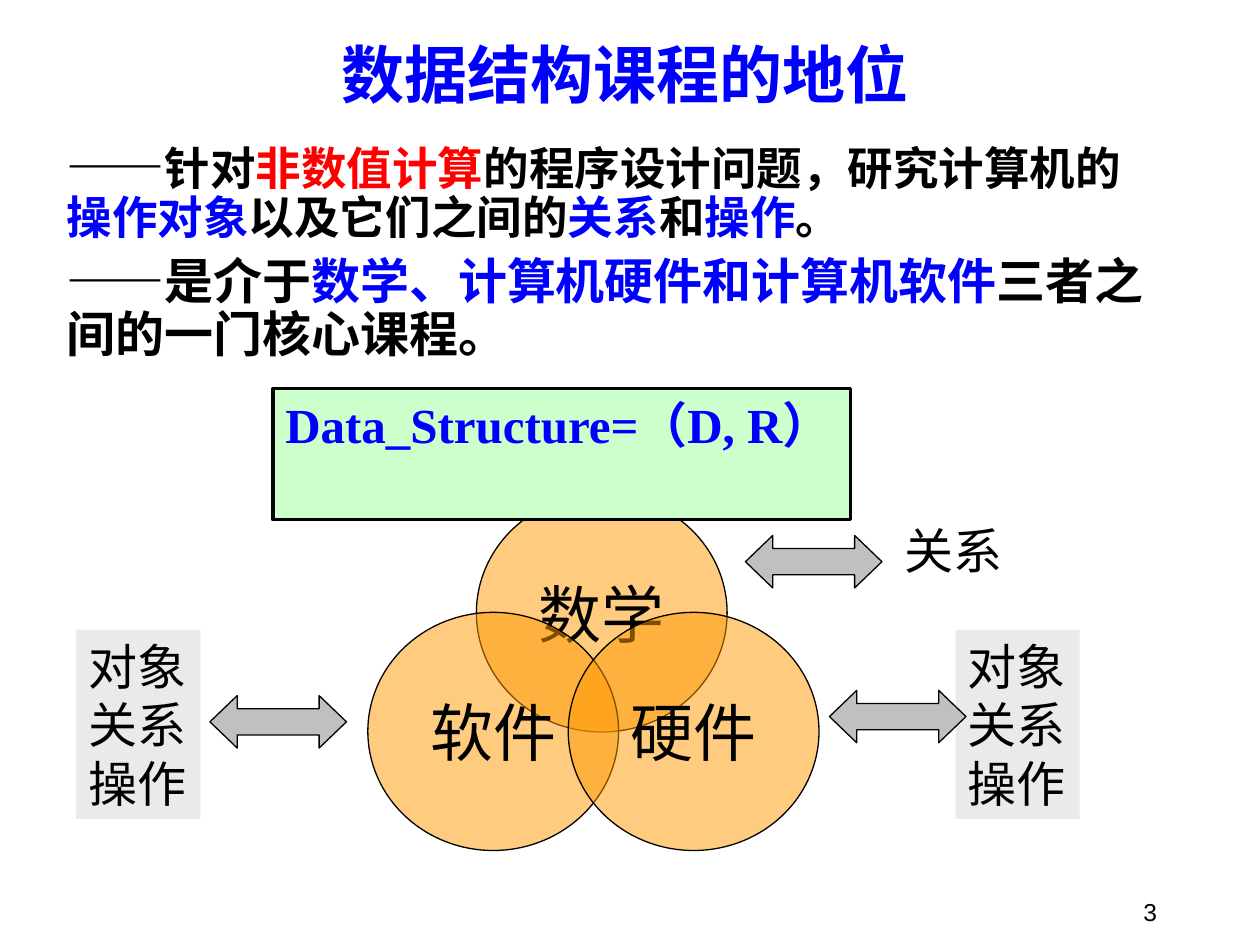
from dataclasses import dataclass

from lxml.etree import SubElement
from pptx import Presentation
from pptx.dml.color import RGBColor
from pptx.enum.shapes import MSO_SHAPE
from pptx.enum.text import MSO_ANCHOR, MSO_AUTO_SIZE, PP_ALIGN
from pptx.oxml.ns import qn
from pptx.util import Pt


@dataclass(frozen=True)
class Theme:
    black: str = "000000"
    blue: str = "0000FF"
    red: str = "FF0000"
    orange: str = "FF9900"
    green: str = "CCFFCC"
    silver: str = "C0C0C0"
    pale: str = "EAEAEA"
    sans: str = "Arial"
    serif: str = "Times New Roman"
    narrow: str = "Arial Narrow"
    heading: str = "Montserrat"
    big: float = 36
    body: float = 28
    small: float = 26
    number: float = 14
    thin: float = 0.75
    thick: float = 2


T = Theme()


@dataclass(frozen=True)
class Box:
    x: float
    y: float
    w: float
    h: float


@dataclass(frozen=True)
class Run:
    text: str
    color: str = T.black
    size: float = T.body
    font: str = T.sans
    bold: bool = False


@dataclass(frozen=True)
class Para:
    runs: tuple[Run, ...]
    align: PP_ALIGN = PP_ALIGN.LEFT
    before: float = 0
    spacing: float = 1.0


@dataclass(frozen=True)
class Circle:
    label: str
    x: float
    y: float


def write(sp, paras: list[Para], anchor=MSO_ANCHOR.TOP, wrap=True, grow=False) -> None:
    tf = sp.text_frame
    tf.word_wrap = wrap
    tf.vertical_anchor = anchor
    tf.auto_size = MSO_AUTO_SIZE.SHAPE_TO_FIT_TEXT if grow else MSO_AUTO_SIZE.NONE
    for i, para in enumerate(paras):
        p = tf.add_paragraph() if i else tf.paragraphs[0]
        p.alignment = para.align
        p.space_before = Pt(para.before)
        p.line_spacing = para.spacing
        for run in para.runs:
            r = p.add_run()
            r.text = run.text
            r.font.size = Pt(run.size)
            r.font.bold = run.bold
            r.font.name = run.font
            r.font.color.rgb = RGBColor.from_string(run.color)


def add_text(shapes, box: Box, paras: list[Para], **options) -> None:
    sp = shapes.add_textbox(Pt(box.x), Pt(box.y), Pt(box.w), Pt(box.h))
    write(sp, paras, **options)


def add_shape(shapes, kind: MSO_SHAPE, box: Box, fill: str, line: float = 0):
    sp = shapes.add_shape(kind, Pt(box.x), Pt(box.y), Pt(box.w), Pt(box.h))
    sp.shadow.inherit = False
    sp.fill.solid()
    sp.fill.fore_color.rgb = RGBColor.from_string(fill)
    if line:
        sp.line.color.rgb = RGBColor.from_string(T.black)
        sp.line.width = Pt(line)
    else:
        sp.line.fill.background()
    return sp


def add_circle(shapes, circle: Circle) -> None:
    box = Box(circle.x, circle.y, 143.3, 136.1)
    sp = add_shape(shapes, MSO_SHAPE.OVAL, box, T.orange, T.thin)
    color = sp.fill._xPr.find(qn("a:solidFill"))[0]
    SubElement(color, qn("a:alpha"), val="50000")
    label = Run(circle.label, size=T.big, font=T.narrow)
    write(sp, [Para((label,), PP_ALIGN.CENTER)], anchor=MSO_ANCHOR.MIDDLE, wrap=False)


def add_arrow(shapes, x: float, y: float) -> None:
    box = Box(x, y, 78, 30)
    sp = add_shape(shapes, MSO_SHAPE.LEFT_RIGHT_ARROW, box, T.silver, T.thin)
    sp.adjustments[0] = 0.5
    sp.adjustments[1] = 0.52


def add_aspects(shapes, x: float) -> None:
    sp = add_shape(shapes, MSO_SHAPE.RECTANGLE, Box(x, 360, 71, 108), T.pale)
    paras = [Para((Run(word),)) for word in ("对象", "关系", "操作")]
    write(sp, paras)


def small(text: str, color: str = T.black) -> Run:
    return Run(text, color, T.small, bold=True)


DASH = Run("——", font=T.serif, bold=True)
TITLE = Run("数据结构课程的地位", T.blue, T.big, T.heading, True)
FORMULA = Run("Data_Structure=（D, R）", T.blue, font=T.serif, bold=True)
INTRO = [
    Para((
        DASH,
        small("针对"),
        small("非数值计算", T.red),
        small("的程序设计问题，研究计算机的"),
        small("操作对象", T.blue),
        small("以及它们之间的"),
        small("关系", T.blue),
        small("和"),
        small("操作", T.blue),
        small("。"),
    ), before=6.5, spacing=0.9),
    Para((
        DASH,
        Run("是介于", bold=True),
        Run("数学、计算机硬件和计算机软件", T.blue, bold=True),
        Run("三者之间的一门核心课程。", bold=True),
    ), before=7, spacing=0.9),
]
CIRCLES = [
    Circle("数学", 272.2, 282.2),
    Circle("软件", 210.2, 349.9),
    Circle("硬件", 324.7, 349.9),
]
ARROWS = [(426, 306), (474, 394.5), (120, 397.5)]


def main() -> None:
    prs = Presentation()
    prs.slide_width, prs.slide_height = Pt(720), Pt(540)
    s = prs.slides.add_slide(prs.slide_layouts[6])
    shapes = s.shapes

    number = Para((Run("3", size=T.number),), PP_ALIGN.RIGHT)
    add_text(shapes, Box(518.4, 496.8, 149.8, 36), [number], anchor=MSO_ANCHOR.BOTTOM)
    title = Para((TITLE,), PP_ALIGN.CENTER)
    add_text(shapes, Box(120, 18, 474, 48), [title], anchor=MSO_ANCHOR.MIDDLE)
    add_text(shapes, Box(31, 78, 635, 132), INTRO)
    add_text(shapes, Box(510, 294, 84, 41), [Para((Run("关系"),))], grow=True)

    add_aspects(shapes, 546)
    venn = shapes.add_group_shape()
    for circle in CIRCLES:
        add_circle(venn.shapes, circle)
    for x, y in ARROWS:
        add_arrow(shapes, x, y)
    add_aspects(shapes, 43.5)

    sp = add_shape(shapes, MSO_SHAPE.RECTANGLE, Box(156, 222, 330, 75), T.green, T.thick)
    write(sp, [Para((FORMULA,), before=17.5)], grow=True)

    prs.save("out.pptx")


if __name__ == "__main__":
    main()
